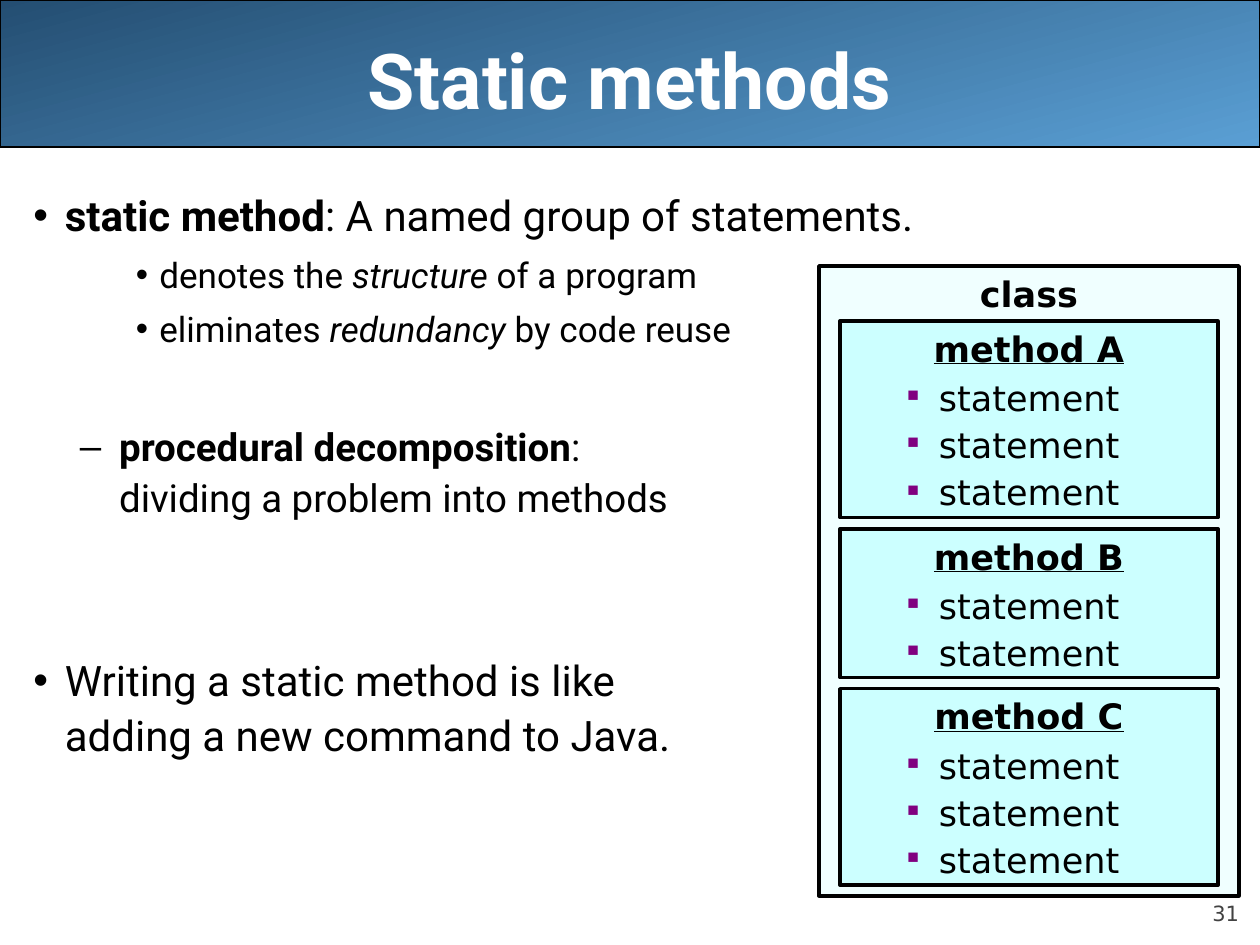
from lxml.etree import SubElement
from pptx import Presentation
from pptx.dml.color import RGBColor
from pptx.enum.shapes import MSO_SHAPE as SHAPE
from pptx.enum.text import MSO_ANCHOR as ANCHOR, PP_ALIGN as ALIGN
from pptx.oxml.ns import qn
from pptx.util import Pt

BODY_FONT, BOX_FONT = "Roboto", "DejaVu Sans"
BLACK, WHITE, PURPLE = "000000", "FFFFFF", "800080"
GREY, PALE, CYAN = "424242", "F0FFFF", "CCFFFF"
METHODS = [("method A", 3), ("method B", 2), ("method C", 3)]


def rgb(hex_code):
    return RGBColor.from_string(hex_code)


def add_run(p, text, font, size, color=BLACK, style=""):
    """Add a run; style holds any of the letters b, i and u."""
    r = p.add_run()
    r.text = text
    f = r.font
    f.name, f.size, f.color.rgb = font, Pt(size), rgb(color)
    f.bold, f.italic, f.underline = ("b" in style, "i" in style, "u" in style)


def set_bullet(p, char, margin, hang, color=BLACK, percent=100):
    pPr = p._p.get_or_add_pPr()
    pPr.set("marL", str(Pt(margin)))
    pPr.set("indent", str(-Pt(hang)))
    SubElement(SubElement(pPr, qn("a:buClr")), qn("a:srgbClr"), val=color)
    SubElement(pPr, qn("a:buSzPct"), val=str(percent * 1000))
    SubElement(pPr, qn("a:buFont"), typeface="Arial")
    SubElement(pPr, qn("a:buChar"), char=char)


def next_paragraph(tf):
    """Return the first paragraph while it is unused, else a new one."""
    p = tf.paragraphs[0]
    return tf.add_paragraph() if p.runs else p


def add_text_box(s, left, top, width, height):
    tf = s.shapes.add_textbox(Pt(left), Pt(top), Pt(width), Pt(height)).text_frame
    tf.word_wrap = True
    return tf


def add_header(s, text):
    title = s.shapes.title
    title.left, title.top, title.width, title.height = Pt(36), Pt(0), Pt(648), Pt(90)
    tf = title.text_frame
    tf.vertical_anchor = ANCHOR.MIDDLE
    p = tf.paragraphs[0]
    p.alignment = ALIGN.CENTER
    add_run(p, text, BODY_FONT, 44, WHITE, "b")

    band = s.shapes.add_shape(SHAPE.RECTANGLE, Pt(0), Pt(0), Pt(720), Pt(84))
    band.shadow.inherit = False
    band.fill.gradient()
    band.fill.gradient_angle = 285
    for stop, color, position in zip(band.fill.gradient_stops, ("244E72", "5A9FD4"), (0, 1)):
        stop.color.rgb, stop.position = rgb(color), position
    band.line.color.rgb, band.line.width = rgb(BLACK), Pt(0.75)
    title.element.addprevious(band.element)


def add_point(tf, runs, size, before, char, margin, hang):
    """Add a bulleted paragraph of (text, style) runs; "\\n" breaks the line."""
    p = next_paragraph(tf)
    p.line_spacing, p.space_before = 1.1, Pt(before)
    set_bullet(p, char, margin, hang)
    for text, style in runs:
        if text == "\n":
            p.add_line_break()
        else:
            add_run(p, text, BODY_FONT, size, style=style)


def add_body(s):
    tf = add_text_box(s, 12, 102, 708, 408)
    main_point = (24, 6, "•", 18, 18)
    detail = (20, 5, "•", 72, 13.5)
    add_point(tf, [("static method", "b"), (": A named group of statements.", "")], *main_point)
    add_point(tf, [("denotes the ", ""), ("structure", "i"), (" of a program", "")], *detail)
    add_point(tf, [("eliminates ", ""), ("redundancy", "i"), (" by code reuse", "")], *detail)
    add_point(tf, [("procedural decomposition", "b"), (":", ""), ("\n", ""),
                   ("dividing a problem into methods", "")], 22, 39.4, "–", 49, 22.5)
    add_point(tf, [("Writing a static method is like", ""), ("\n", ""),
                   ("adding a new command to Java.", "")], 24, 73.7, "•", 18, 18)


def add_box(group, left, top, width, height, fill, heading, style):
    """Add an outlined box with a centred heading and return its text frame."""
    sp = group.shapes.add_shape(SHAPE.RECTANGLE, Pt(left), Pt(top), Pt(width), Pt(height))
    sp.shadow.inherit = False
    sp.fill.solid()
    sp.fill.fore_color.rgb = rgb(fill)
    sp.line.color.rgb, sp.line.width = rgb(BLACK), Pt(2)
    tf = sp.text_frame
    tf.word_wrap, tf.vertical_anchor = True, ANCHOR.TOP
    p = next_paragraph(tf)
    p.alignment = ALIGN.CENTER
    add_run(p, heading, BOX_FONT, 20, style=style)
    return tf


def add_class_diagram(s):
    group = s.shapes.add_group_shape()
    add_box(group, 468, 152, 240, 360, PALE, "class", "b")
    top, gap = 183.5, 6.4
    for name, count in METHODS:
        height = 30.4 + 27.3 * count
        tf = add_box(group, 480, top, 216, height, CYAN, name, "bu")
        for _ in range(count):
            p = next_paragraph(tf)
            p.alignment = ALIGN.LEFT
            p.line_spacing, p.space_before = 0.6, Pt(12.5)
            set_bullet(p, "■", 49.5, 18, PURPLE, 55)
            add_run(p, "statement", BOX_FONT, 20)
        top += height + gap


def add_slide_number(s, number):
    tf = add_text_box(s, 648, 500.5, 60, 28.5)
    tf.margin_left = tf.margin_right = tf.margin_top = tf.margin_bottom = 0
    tf.vertical_anchor = ANCHOR.BOTTOM
    p = tf.paragraphs[0]
    p.alignment = ALIGN.RIGHT
    add_run(p, number, BOX_FONT, 12, GREY)


def main():
    prs = Presentation()
    prs.slide_width, prs.slide_height = Pt(720), Pt(540)
    s = prs.slides.add_slide(prs.slide_layouts[5])
    add_header(s, "Static methods")
    add_slide_number(s, "31")
    add_body(s)
    add_class_diagram(s)
    prs.save("out.pptx")


if __name__ == "__main__":
    main()
